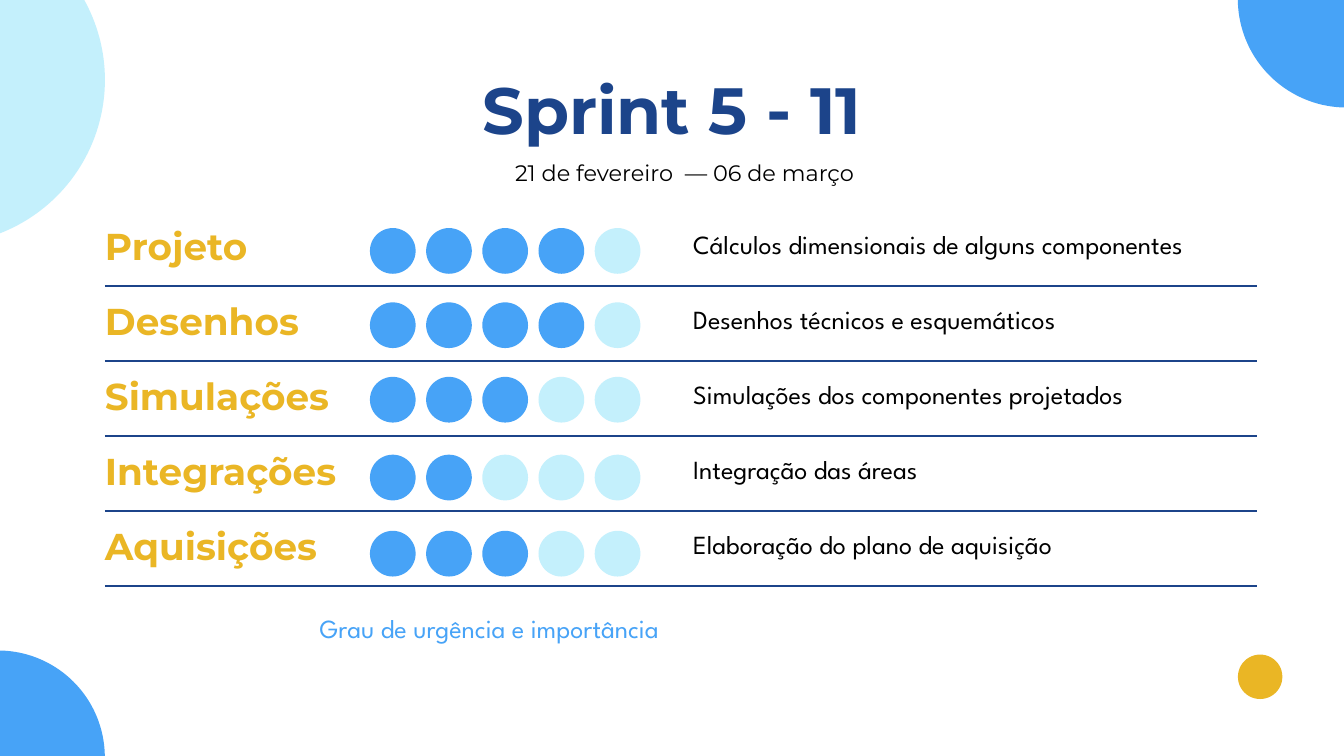
from pptx import Presentation
from pptx import util as u
from pptx.dml.color import RGBColor
from pptx.enum import shapes, text
from pptx.oxml.ns import qn
from lxml import etree

NAVY, BLUE, CYAN, GOLD, BLACK = "1C448A", "47A3F7", "4CD2F8", "EAB625", "000000"
HEADING, BODY = "Montserrat", "League Spartan"
CYAN_ALPHA = 33

# Area, urgency out of five, task, distance from row top to dots
AREAS = [
    ("Projeto", 4, "Cálculos dimensionais de alguns componentes", 9.2),
    ("Desenhos", 4, "Desenhos técnicos e esquemáticos", 8.8),
    ("Simulações", 3, "Simulações dos componentes projetados", 8.5),
    ("Integrações", 2, "Integração das áreas", 10),
    ("Aquisições", 3, "Elaboração do plano de aquisição", 10.6),
]
ROW_HEIGHT, LAST_ROW_HEIGHT = 40.2, 62
COLUMN_WIDTHS = (136, 172, 309)
DOT_LEFT, DOT_SIZE, DOT_STEP, DOT_COUNT = 142, 24.5, 30.1, 5


def points(*values):
    return [u.Pt(value) for value in values]


def color(value):
    return RGBColor.from_string(value)


def write(frame, words, size, font, ink, bold=False, align=text.PP_ALIGN.LEFT):
    para = frame.paragraphs[0]
    para.alignment = align
    span = para.add_run()
    span.text = words
    span.font.size = u.Pt(size)
    span.font.name = font
    span.font.bold = bold
    span.font.color.rgb = color(ink)


def set_margins(target, sides=7.2):
    """Inset a text frame or a table cell."""
    target.margin_left = target.margin_right = u.Pt(sides)
    target.margin_top = target.margin_bottom = u.Pt(7.2)


def add_disc(page, left, top, size, fill, alpha=None, angles=None):
    """Add a circle, or a pie between two clockwise angles in degrees."""
    kind = shapes.MSO_SHAPE.PIE if angles else shapes.MSO_SHAPE.OVAL
    disc = page.shapes.add_shape(kind, *points(left, top, size, size))
    disc.shadow.inherit = False
    disc.line.fill.background()
    disc.fill.solid()
    disc.fill.fore_color.rgb = color(fill)
    if alpha:
        shade = disc.fill._xPr.find(f".//{qn('a:srgbClr')}")
        etree.SubElement(shade, qn("a:alpha"), val=str(alpha * 1000))
    for index, angle in enumerate(angles or ()):
        disc.adjustments[index] = angle * 0.6


def add_corners(page, width, height):
    add_disc(page, -120.2, -45.4, 176.4, CYAN, CYAN_ALPHA)
    add_disc(page, width - 56.8, height - 54.3, 23.8, GOLD)
    add_disc(page, -58.3, height - 56.5, 114.5, BLUE, angles=(270, 360))
    add_disc(page, width - 56.9, -59, 116.6, BLUE, angles=(90, 180))


def add_title(page, left, top, width, height, words):
    title = page.shapes.title
    title.left, title.top, title.width, title.height = points(left, top, width, height)
    frame = title.text_frame
    set_margins(frame)
    frame.vertical_anchor = text.MSO_ANCHOR.MIDDLE
    frame.auto_size = text.MSO_AUTO_SIZE.NONE
    write(frame, words, 35, HEADING, NAVY, bold=True, align=text.PP_ALIGN.CENTER)


def add_note(page, left, top, width, height, words, **style):
    box = page.shapes.add_textbox(*points(left, top, width, height))
    frame = box.text_frame
    frame.word_wrap = True
    frame.auto_size = text.MSO_AUTO_SIZE.SHAPE_TO_FIT_TEXT
    set_margins(frame)
    write(frame, words, **style)


def rule_cell(cell, above, below):
    """Clear a cell's fill and draw only the asked horizontal borders."""
    properties = cell._tc.get_or_add_tcPr()
    for side, shown in (("L", False), ("R", False), ("T", above), ("B", below)):
        border = etree.SubElement(properties, qn(f"a:ln{side}"), w=str(u.Pt(1.5)))
        if shown:
            paint = etree.SubElement(border, qn("a:solidFill"))
            etree.SubElement(paint, qn("a:srgbClr"), val=NAVY)
        else:
            etree.SubElement(border, qn("a:noFill"))
    cell.fill.background()


def add_area_table(page, left, top):
    row_count = len(AREAS) + 1
    height = ROW_HEIGHT * len(AREAS) + LAST_ROW_HEIGHT
    frame = page.shapes.add_table(row_count, len(COLUMN_WIDTHS),
                                  *points(left, top, sum(COLUMN_WIDTHS), height))
    table = frame.table
    table.first_row = table.horz_banding = False
    for column, width in zip(table.columns, COLUMN_WIDTHS):
        column.width = u.Pt(width)
    for index, row in enumerate(table.rows):
        last = index == row_count - 1
        row.height = u.Pt(LAST_ROW_HEIGHT if last else ROW_HEIGHT)
        for cell in row.cells:
            rule_cell(cell, above=index > 0, below=not last)
    for index, (area, _, task, _) in enumerate(AREAS):
        name_cell, task_cell = table.cell(index, 0), table.cell(index, 2)
        set_margins(name_cell, sides=0)
        write(name_cell.text_frame, area, 20, HEADING, GOLD, bold=True)
        set_margins(task_cell)
        task_cell.vertical_anchor = text.MSO_ANCHOR.MIDDLE
        write(task_cell.text_frame, task, 14, BODY, BLACK)


def add_urgency_dots(page, left, top):
    for row, (_, urgency, _, offset) in enumerate(AREAS):
        for dot in range(DOT_COUNT):
            fill, alpha = (BLUE, None) if dot < urgency else (CYAN, CYAN_ALPHA)
            add_disc(page, left + DOT_LEFT + dot * DOT_STEP,
                     top + row * ROW_HEIGHT + offset, DOT_SIZE, fill, alpha)


def main():
    deck = Presentation()
    width, height = 720, 405
    deck.slide_width, deck.slide_height = points(width, height)
    page = deck.slides.add_slide(deck.slide_layouts[5])
    add_corners(page, width, height)
    add_title(page, 56.7, 35.4, 606.6, 45.4, "Sprint 5 - 11")
    add_area_table(page, 56.2, 113)
    add_urgency_dots(page, 56.2, 113)
    add_note(page, 264.2, 77.8, 205.2, 28.8, "21 de fevereiro  — 06 de março",
             size=12, font=HEADING, ink=BLACK, align=text.PP_ALIGN.CENTER)
    add_note(page, 164.2, 321.1, 218.2, 31.7, "Grau de urgência e importância",
             size=14, font=BODY, ink=BLUE)
    deck.save("out.pptx")


if __name__ == "__main__":
    main()
